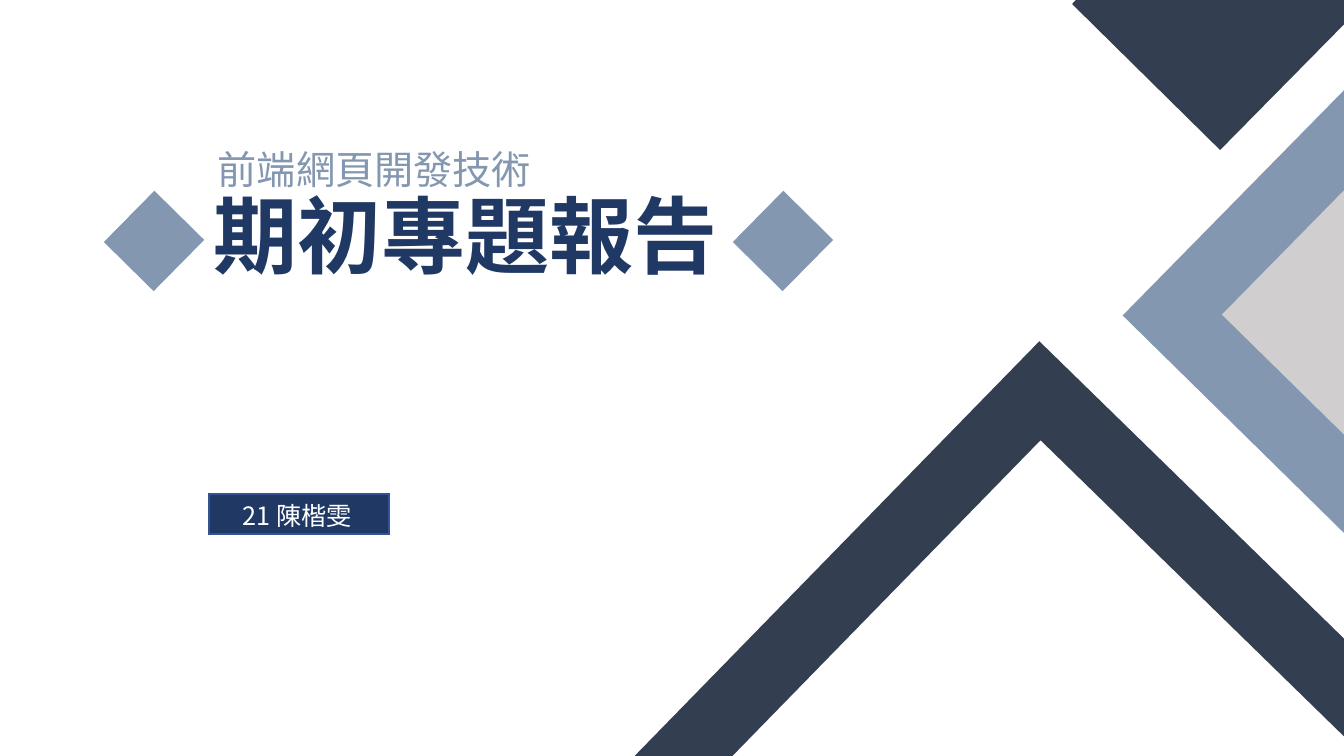
from lxml import etree
from pptx import Presentation
from pptx import util as u
from pptx.dml.color import RGBColor
from pptx.enum import shapes, text
from pptx.oxml import ns

SCALE = 914400 / 100.8
FONT = "Noto Sans CJK SC"
COLOURS = {
    "slate": "333F50",
    "steel": "8497B0",
    "grey": "D0CECE",
    "navy": "203864",
    "edge": "325491",
    "white": "FFFFFF",
}


def px(value):
    return u.Emu(round(value * SCALE))


def colour(name):
    return RGBColor.from_string(COLOURS[name])


def apply_format(target, values):
    for name, value in values.items():
        setattr(target, name, value)


def add_rectangle(page, place, fill=None, edge=None, width=0, rotation=0):
    shape = page.shapes.add_shape(shapes.MSO_SHAPE.RECTANGLE, *map(px, place))
    shape.rotation = rotation
    shape.shadow.inherit = False
    if fill:
        shape.fill.solid()
        shape.fill.fore_color.rgb = colour(fill)
    else:
        shape.fill.background()
    if edge:
        shape.line.color.rgb = colour(edge)
        shape.line.width = u.Pt(width)
        line = shape.line.fill._xPr
        etree.SubElement(line, ns.qn("a:miter"), lim="800000")
    else:
        shape.line.fill.background()


def add_label(page, place, wording, size, ink, bold=False, centred=False):
    box = page.shapes.add_textbox(*map(px, place))
    frame = box.text_frame
    apply_format(frame, {
        "word_wrap": False,
        "vertical_anchor": text.MSO_ANCHOR.MIDDLE if centred else text.MSO_ANCHOR.TOP,
    })
    para = frame.paragraphs[0]
    para.alignment = text.PP_ALIGN.CENTER if centred else text.PP_ALIGN.LEFT
    span = para.add_run()
    span.text = wording
    apply_format(span.font, {"name": FONT, "size": u.Pt(size), "bold": bold})
    span.font.color.rgb = colour(ink)
    east_asian = etree.SubElement(span.font._element, ns.qn("a:ea"))
    east_asian.set("typeface", FONT)


def add_corner_diamonds(page):
    add_rectangle(page, (1263, 93, 454, 445), "grey", "steel", 50, 44.5)
    add_rectangle(page, (757, 506, 566, 580), None, "slate", 50, 44.3)
    add_rectangle(page, (1120, -113, 208, 222), "slate", rotation=44.6)


def add_heading(page):
    for left in (119, 748):
        add_rectangle(page, (left, 205, 70, 72), "steel", rotation=44.6)
    add_label(page, (204, 179, 525, 234), "期初專題報告", 60, "navy", bold=True)
    add_label(page, (208, 140, 334, 66), "前端網頁開發技術", 28, "steel")


def add_author(page):
    add_rectangle(page, (209, 494, 180, 40), "navy", "edge", 1)
    add_label(page, (210, 495, 174, 40), "21 陳楷雯", 18, "white", centred=True)


def main():
    deck = Presentation()
    apply_format(deck, {"slide_width": px(1344), "slide_height": px(756)})
    page = deck.slides.add_slide(deck.slide_layouts[6])
    add_corner_diamonds(page)
    add_heading(page)
    add_author(page)
    deck.save("out.pptx")


if __name__ == "__main__":
    main()
